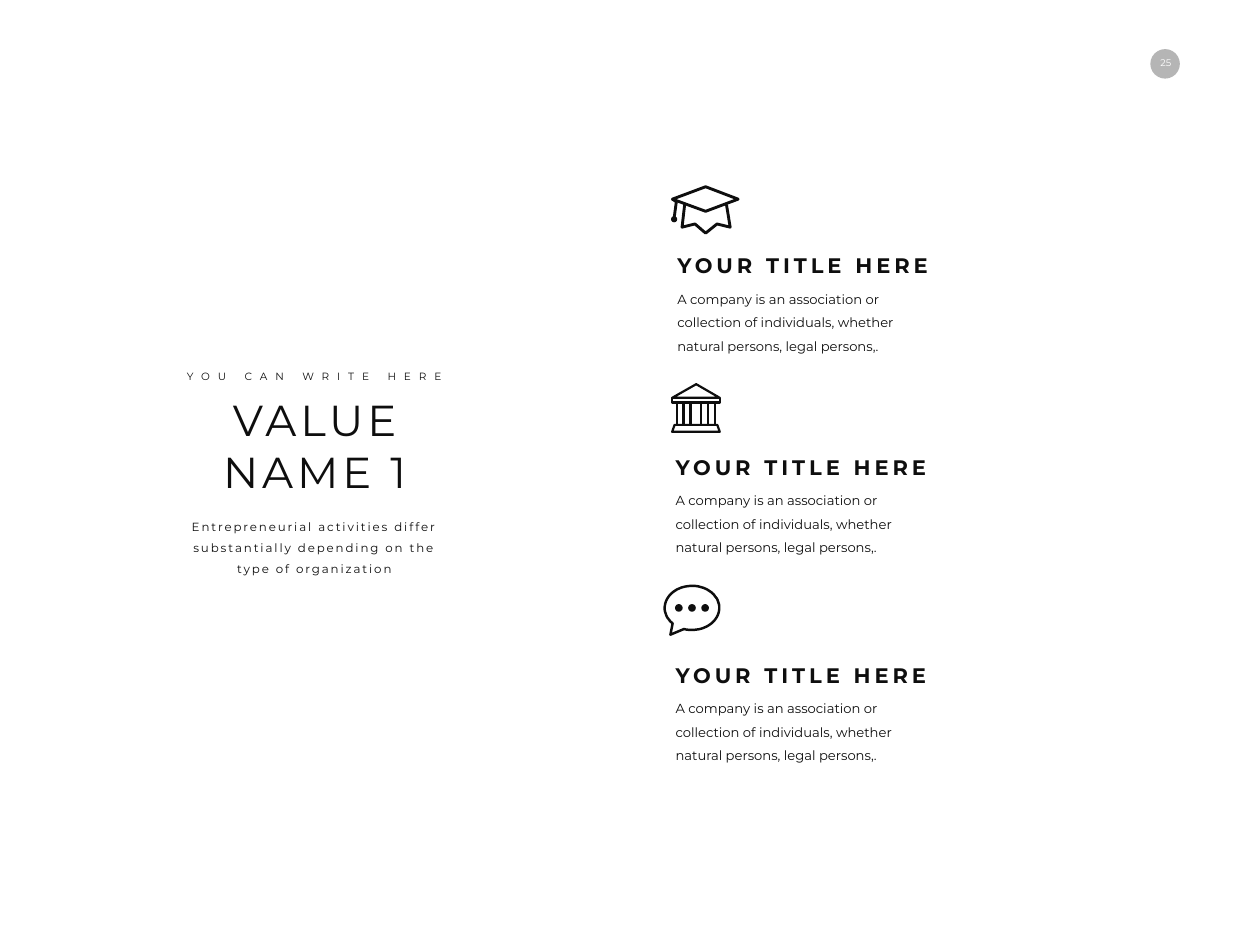
import math
from lxml import etree
from pptx import Presentation
from pptx.dml.color import RGBColor
from pptx.enum import shapes as sh, text as tx
from pptx.oxml.ns import qn
from pptx.util import Cm, Pt

INK = "0E0E0E"
rgb = RGBColor.from_string
LEFT, MID = tx.PP_ALIGN.LEFT, tx.PP_ALIGN.CENTER

deck = Presentation()
deck.slide_width, deck.slide_height = Cm(50.8), Cm(38.1)
slide = deck.slides.add_slide(deck.slide_layouts[6])
items = slide.shapes


def write(words, x, y, w, h, size, color=INK, bold=False, align=LEFT,
          track=0, lead=None, wrap=False):
    frame = items.add_textbox(Cm(x), Cm(y), Cm(w), Cm(h)).text_frame
    frame.word_wrap = wrap
    for i, line in enumerate(words.split("\n")):
        para = frame.paragraphs[0] if i == 0 else frame.add_paragraph()
        para.alignment = align
        if lead:
            para.line_spacing = lead
        run = para.add_run()
        run.text = line
        run.font.name, run.font.size, run.font.bold = "Montserrat", Pt(size), bold
        run.font.color.rgb = rgb(color)
        if track:
            run._r.get_or_add_rPr().set("spc", str(int(track * 100)))


def fill(kind, x, y, w, h, color):
    form = items.add_shape(kind, Cm(x), Cm(y), Cm(w), Cm(h))
    form.shadow.inherit = False
    form.fill.solid()
    form.fill.fore_color.rgb = rgb(color)
    form.line.fill.background()
    return form


# Page badge, dimmed by a white veil over the slide
fill(sh.MSO_SHAPE.OVAL, 46.38, 1.98, 1.19, 1.19, "000000")
write("25", 46.27, 2.17, 1.48, 0.7, 11, color="FFFFFF", align=MID)
veil = fill(sh.MSO_SHAPE.RECTANGLE, 0, 0, 50.8, 38.1, "FFFFFF")
tint = veil.fill._xPr.find(".//" + qn("a:srgbClr"))
etree.SubElement(tint, qn("a:alpha")).set("val", "71000")

# Heading on the left
write("YOU CAN WRITE HERE", 7.11, 14.78, 11.13, 0.76, 12, align=MID, track=9)
write("VALUE\nNAME 1", 8.64, 15.73, 8.1, 4.5, 49.5, align=MID, track=4.5)
write("Entrepreneurial activities differ substantially depending on the type of organization",
      6.89, 20.53, 11.58, 2.84, 13.5, align=MID, track=2.2, lead=1.5, wrap=True)

# Three titled texts on the right
for x, y in ((27.06, 10.07), (26.99, 18.19), (26.99, 26.58)):
    write("YOUR TITLE HERE", x, y, 10.9, 1.3, 24, bold=True, track=4.5)
    write("A company is an association or collection of individuals, whether "
          "natural persons, legal persons,.", x, y + 1.22, 9.98, 3.15, 15,
          lead=1.5, wrap=True)

# Icon outlines, in hundredths of a centimetre
cap = [
    [(2845, 753), (2976, 803), (2845, 852), (2711, 803), (2845, 753)],
    [(2761, 820), (2750, 916), (2802, 903), (2845, 940), (2891, 903),
     (2944, 916), (2929, 825)],
    [(2711, 803), (2727, 813), (2718, 879)],
]
bank = [
    [(2710, 1604), (2807, 1549), (2902, 1604), (2710, 1604)],
    [(2720, 1713), (2892, 1713), (2902, 1741), (2710, 1741), (2720, 1713)],
]
for x1, x2, y1, y2 in ((2710, 2902, 1604, 1623), (2728, 2756, 1623, 1713),
                       (2784, 2828, 1623, 1713), (2856, 2883, 1623, 1713)):
    bank.append([(x1, y1), (x2, y1), (x2, y2), (x1, y2), (x1, y1)])

# Speech bubble: an oval left open for its tail
turns = [math.radians(a) for a in range(135, 468, 4)]
oval = [(2790 + 110 * math.cos(t), 2451 + 89 * math.sin(t)) for t in turns]
bubble = [oval + [(2703, 2559), oval[0]]]

# One outline per icon
for icon, width in ((cap, 3.3), (bubble, 2.8), (bank, 2.5)):
    pen = items.build_freeform(*icon[0][0], scale=Cm(0.01))
    for i, part in enumerate(icon):
        if i:
            pen.move_to(*part[0])
        pen.add_line_segments(part[1:], close=part[0] == part[-1])
    form = pen.convert_to_shape()
    form.shadow.inherit = False
    form.fill.background()
    form.line.color.rgb = rgb(INK)
    form.line.width = Pt(width)

# Tassel end and speech dots
dots = [(27.18, 8.84, 0.25)] + [(27.9 + 0.53 * i, 24.51, 0.31) for i in (-1, 0, 1)]
for x, y, size in dots:
    fill(sh.MSO_SHAPE.OVAL, x - size / 2, y - size / 2, size, size, INK)

deck.save("out.pptx")
